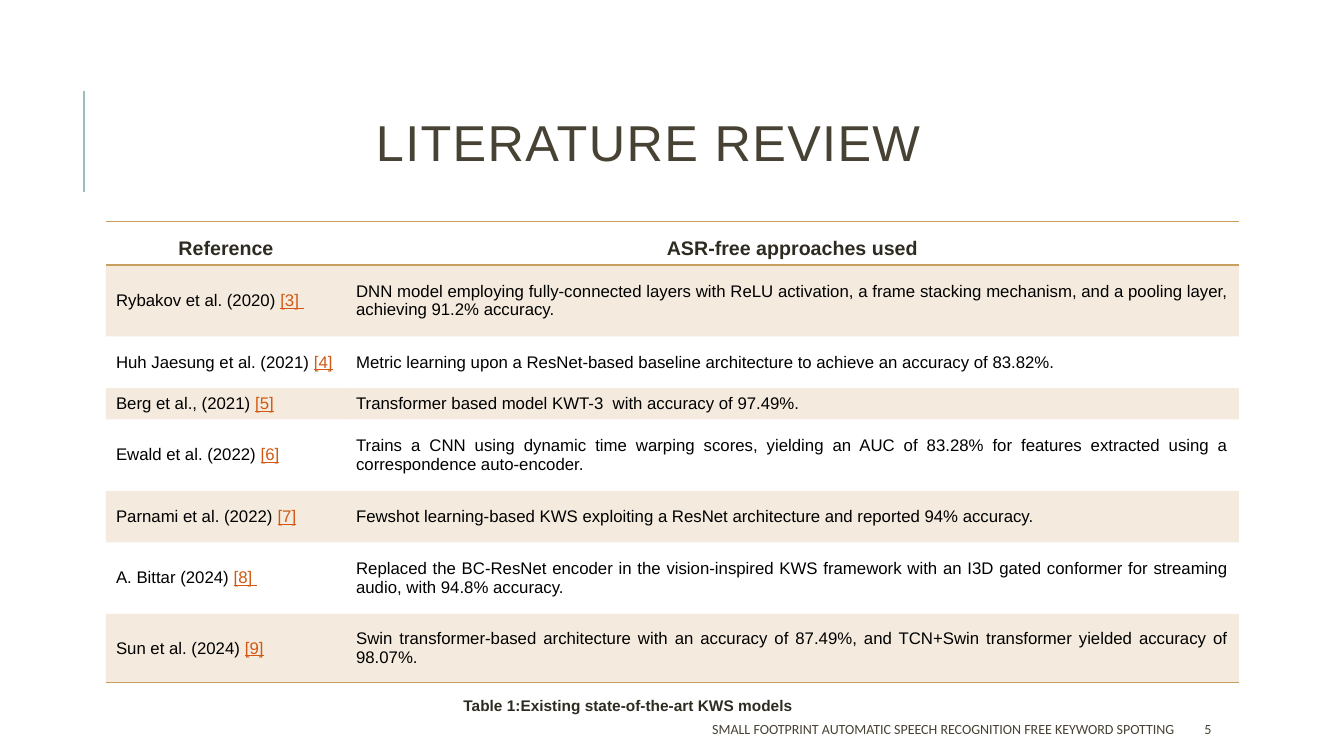
from lxml.etree import SubElement
from pptx import Presentation
from pptx.dml.color import RGBColor
from pptx.enum.shapes import MSO_CONNECTOR as Link
from pptx.enum.text import MSO_ANCHOR as Anchor, PP_ALIGN as Align
from pptx.oxml import parse_xml
from pptx.oxml.ns import nsdecls, qn
from pptx.util import Cm, Pt

PLAIN = "{2D5ABB26-0587-4C30-8999-92F81FD0307C}"  # table style without lines
ROWS = [
    ("Rybakov et al. (2020) ", "[3] ", 1.8,
     "DNN model employing fully-connected layers with ReLU activation, a frame "
     "stacking mechanism, and a pooling layer, achieving 91.2% accuracy. "),
    ("Huh Jaesung et al. (2021) ", "[4]", 1.3,
     "Metric learning upon a ResNet-based baseline architecture to achieve an "
     "accuracy of 83.82%. "),
    ("Berg et al., (2021) ", "[5]", 0.79,
     "Transformer based model KWT-3  with accuracy of 97.49%."),
    ("Ewald et al. (2022) ", "[6]", 1.8,
     "Trains a CNN using dynamic time warping scores, yielding an AUC of 83.28% "
     "for features extracted using a correspondence auto-encoder."),
    ("Parnami et al. (2022) ", "[7]", 1.3,
     "Fewshot learning-based KWS exploiting a ResNet architecture and reported "
     "94% accuracy."),
    ("A. Bittar (2024) ", "[8] ", 1.8,
     "Replaced the BC-ResNet encoder in the vision-inspired KWS framework with an "
     "I3D gated conformer for streaming audio, with 94.8% accuracy."),
    ("Sun et al. (2024) ", "[9]", 1.73,
     "Swin transformer-based architecture with an accuracy of 87.49%, and TCN+Swin "
     "transformer yielded accuracy of 98.07%."),
]


def color(code):
    return RGBColor.from_string(code)


def write(frame, text, size=12, font="Arial", ink="000000", bold=False,
          line=False, align=Align.LEFT, space=None, track=None):
    """Add a formatted run to the first paragraph of a frame."""
    para = frame.paragraphs[0]
    para.alignment = align
    if space:
        para.line_spacing = space
    run = para.add_run()
    run.text = text
    face = run.font
    face.size, face.name, face.bold, face.underline = Pt(size), font, bold, line
    face.color.rgb = color(ink)
    if track:
        run._r.get_or_add_rPr().set("spc", str(track))


class Page:
    ink, dark, gold, teal, link = "474233", "2E2B21", "C89F5D", "9CBEBD", "D25814"

    def __init__(self, slide):
        self.slide = slide

    def title(self, text, *box):
        shape = self.slide.shapes.title
        shape.left, shape.top, shape.width, shape.height = map(Cm, box)
        shape.text_frame.vertical_anchor = Anchor.MIDDLE
        write(shape.text_frame, text, size=36, ink=self.ink, align=Align.CENTER,
              space=0.8, track=100)

    def label(self, text, *box, anchor=Anchor.MIDDLE, **style):
        frame = self.slide.shapes.add_textbox(*map(Cm, box)).text_frame
        frame.word_wrap = True
        frame.vertical_anchor = anchor
        write(frame, text, **style)

    def rule(self, *ends):
        line = self.slide.shapes.add_connector(Link.STRAIGHT, *map(Cm, ends))
        line.line.color.rgb = color(self.teal)
        line.line.width = Pt(1.5)
        SubElement(line._element.spPr, qn("a:effectLst"))

    def edge(self, cell, *sides):
        for spot, side in enumerate(sides):
            cell._tc.get_or_add_tcPr().insert(spot, parse_xml(
                f'<a:{side} {nsdecls("a")} w="12700"><a:solidFill>'
                f'<a:srgbClr val="{self.gold}"/></a:solidFill></a:{side}>'))

    def shade(self, cell, on):
        if not on:
            cell.fill.background()
            return
        cell.fill.solid()
        cell.fill.fore_color.rgb = color(self.gold)
        tint = cell._tc.tcPr.find(".//" + qn("a:srgbClr"))
        SubElement(tint, qn("a:alpha"), val="20000")

    def table(self, heads, rows, left, top, widths, first):
        highs = [first] + [row[2] for row in rows]
        grid = self.slide.shapes.add_table(
            len(highs), len(widths), Cm(left), Cm(top),
            Cm(sum(widths)), Cm(sum(highs))).table
        grid._tbl.tblPr.find(qn("a:tableStyleId")).text = PLAIN
        grid.horz_banding = False
        for col, width in zip(grid.columns, widths):
            col.width = Cm(width)
        for row, high in zip(grid.rows, highs):
            row.height = Cm(high)
        # Header
        for cell, head in zip(grid.rows[0].cells, heads):
            write(cell.text_frame, head, size=14, ink=self.dark, bold=True,
                  align=Align.CENTER, space=1.5)
            self.edge(cell, "lnT", "lnB")
        # Body
        for at, (name, mark, _, text) in enumerate(rows, 1):
            ref, note = (cell.text_frame for cell in grid.rows[at].cells)
            write(ref, name, align=Align.JUSTIFY)
            write(ref, mark, ink=self.link, line=True, align=Align.JUSTIFY)
            write(note, text, align=Align.JUSTIFY)
        for at, row in enumerate(grid.rows):
            for cell in row.cells:
                cell.vertical_anchor = Anchor.MIDDLE
                self.shade(cell, at % 2)
        for cell in grid.rows[len(rows)].cells:
            self.edge(cell, "lnB")


def main():
    deck = Presentation()
    deck.slide_width, deck.slide_height = Cm(33.87), Cm(19.05)
    page = Page(deck.slides.add_slide(deck.slide_layouts[5]))

    # Heading
    page.rule(2.11, 4.83, 2.11, 2.29)
    page.title("LITERATURE REVIEW", 2.84, 1.63, 27, 4.17)

    # Review table and caption
    page.table(("Reference", "ASR-free approaches used"), ROWS,
               2.67, 5.59, (6.05, 22.5), 1.07)
    page.label("Table 1:Existing state-of-the-art KWS models",
               11.43, 17.42, 16.94, 0.74, anchor=Anchor.TOP,
               size=11, ink=page.dark, bold=True)

    # Footer
    foot = dict(size=10, font="Calibri", ink=page.ink)
    page.label("SMALL FOOTPRINT AUTOMATIC SPEECH RECOGNITION FREE KEYWORD SPOTTING",
               13.46, 17.98, 16.38, 0.76, align=Align.RIGHT, **foot)
    page.label("5", 30.1, 17.98, 2.69, 0.76, **foot)
    deck.save("out.pptx")


if __name__ == "__main__":
    main()
